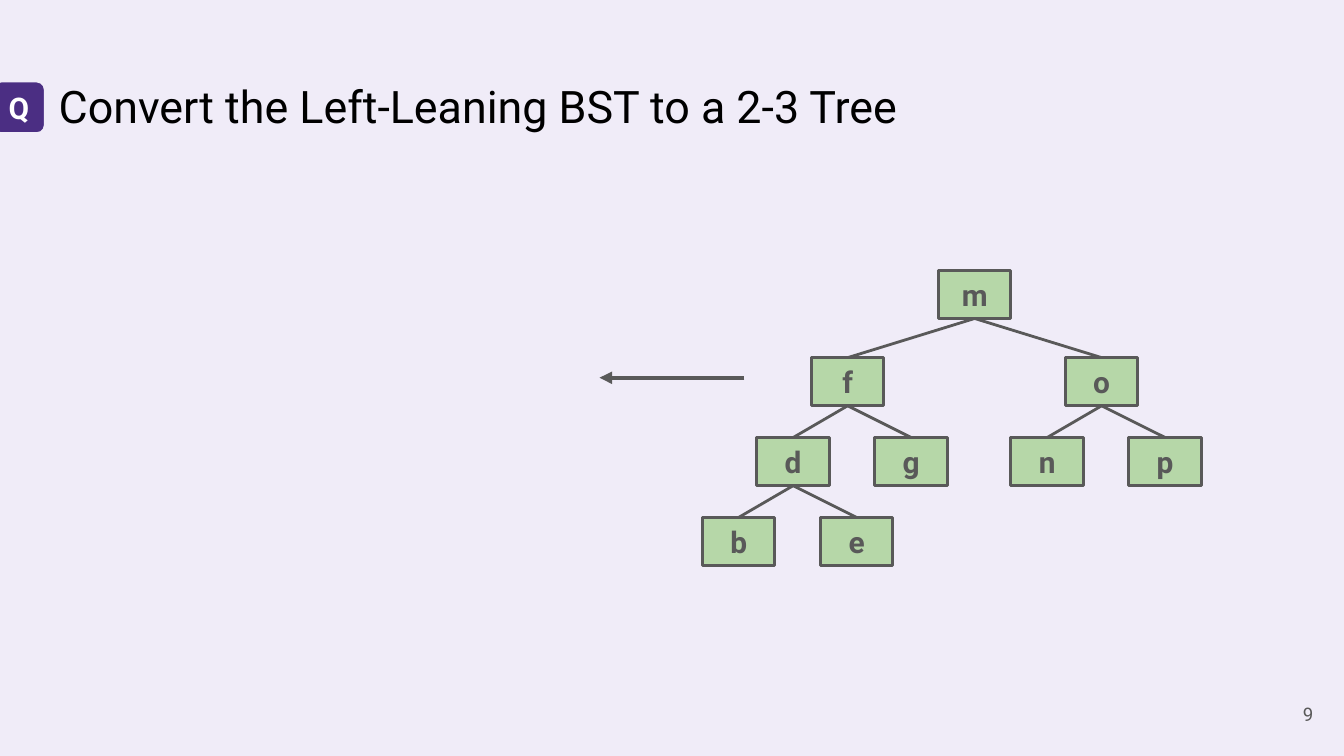
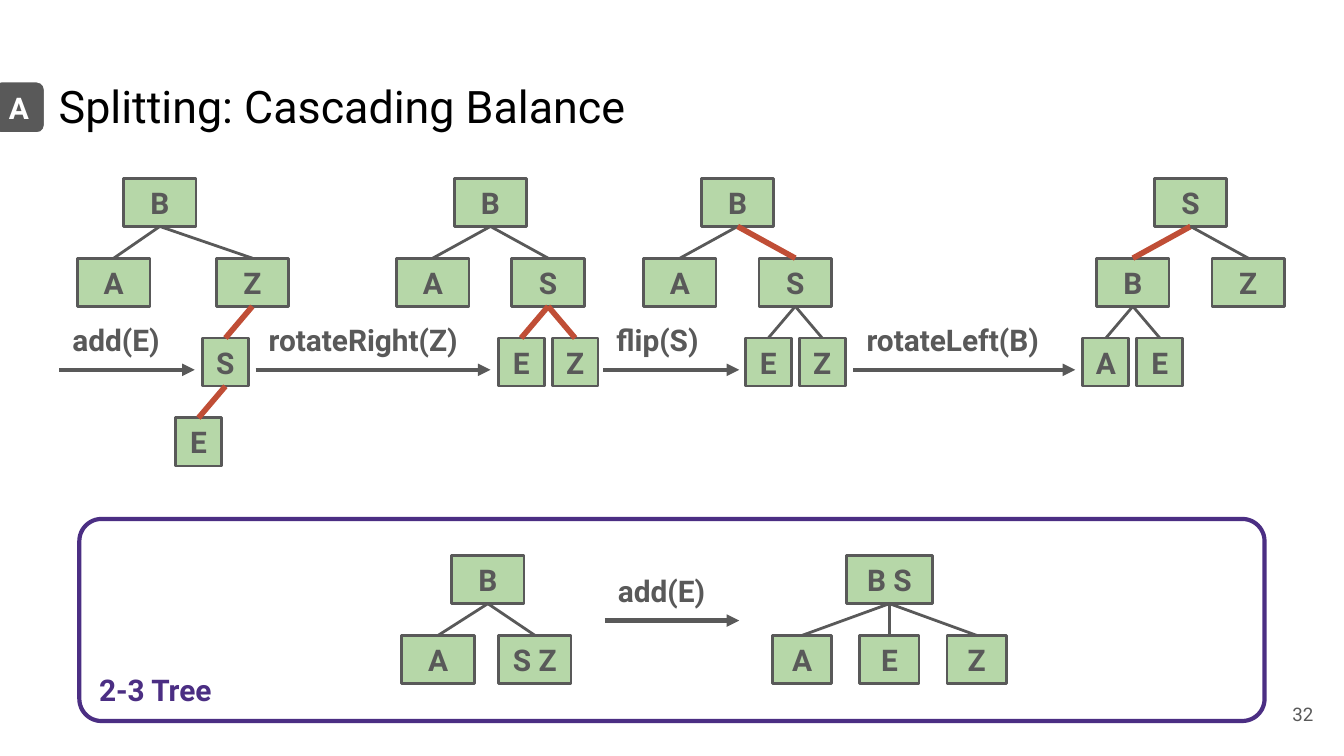
from dataclasses import dataclass

from lxml.etree import SubElement
from pptx import Presentation
from pptx.dml.color import RGBColor
from pptx.enum.shapes import MSO_CONNECTOR, MSO_SHAPE
from pptx.enum.text import MSO_ANCHOR, PP_ALIGN
from pptx.oxml.ns import qn
from pptx.util import Cm, Pt

COLORS = {
    "lilac": "F0ECF8",
    "white": "FFFFFF",
    "black": "000000",
    "purple": "4B2E83",
    "gray": "595959",
    "green": "B6D7A8",
    "red": "C04E36",
}
FONT = "Roboto"
NODE_W, NARROW_W, NODE_H = 1.37, 0.87, 0.91
LEVEL = 1.51  # distance between the tops of two tree levels
PAD = 0.25


@dataclass
class Node:
    """A tree node; dx is its offset from the parent, red marks the edge up."""
    text: str
    dx: float = 0
    kids: tuple = ()
    w: float = NODE_W
    red: bool = False


def rgb(name):
    return RGBColor.from_string(COLORS[name])


def pair(left, right, dx, **style):
    """Two siblings placed evenly below their parent."""
    return Node(left, -dx, **style), Node(right, dx, **style)


class Deck:
    def __init__(self):
        self.prs = Presentation()
        self.prs.slide_width, self.prs.slide_height = Cm(25.4), Cm(14.29)
        self.s = None

    def slide(self, title, number, letter, tag_color, background):
        self.s = self.prs.slides.add_slide(self.prs.slide_layouts[6])
        fill = self.s.background.fill
        fill.solid()
        fill.fore_color.rgb = rgb(background)
        self.text(title, 0.86, 1.24, 23.67, 1.6, size=24, color="black", bold=False)
        self.text(number, 23.55, 12.95, 1.52, 1.09, size=10, bold=False,
                  align=PP_ALIGN.RIGHT, anchor=MSO_ANCHOR.MIDDLE)
        tag = self.box(MSO_SHAPE.ROUNDED_RECTANGLE, -0.15, 1.52, 1.02, 1.02,
                       tag_color, background, 2.25, 0.167)
        self.label(tag, letter, color="white", align=PP_ALIGN.CENTER,
                   anchor=MSO_ANCHOR.MIDDLE)

    def label(self, sp, text, size=16, color="gray", bold=True,
              align=PP_ALIGN.LEFT, anchor=MSO_ANCHOR.TOP, pad_x=PAD, pad_y=PAD):
        tf = sp.text_frame
        tf.word_wrap = True
        tf.vertical_anchor = anchor
        tf.margin_left = tf.margin_right = Cm(pad_x)
        tf.margin_top = tf.margin_bottom = Cm(pad_y)
        p = tf.paragraphs[0]
        p.alignment = align
        r = p.add_run()
        r.text = text
        r.font.name, r.font.size, r.font.bold = FONT, Pt(size), bold
        r.font.color.rgb = rgb(color)

    def text(self, text, x, y, w, h, **style):
        sp = self.s.shapes.add_textbox(Cm(x), Cm(y), Cm(w), Cm(h))
        self.label(sp, text, **style)

    def box(self, kind, x, y, w, h, fill, line, weight, corner=None):
        sp = self.s.shapes.add_shape(kind, Cm(x), Cm(y), Cm(w), Cm(h))
        sp.shadow.inherit = False
        if fill:
            sp.fill.solid()
            sp.fill.fore_color.rgb = rgb(fill)
        else:
            sp.fill.background()
        sp.line.color.rgb = rgb(line)
        sp.line.width = Pt(weight)
        if corner is not None:
            sp.adjustments[0] = corner
        return sp

    def line(self, x1, y1, x2, y2, color="gray", weight=1.5):
        c = self.s.shapes.add_connector(
            MSO_CONNECTOR.STRAIGHT, Cm(x1), Cm(y1), Cm(x2), Cm(y2))
        c.line.color.rgb = rgb(color)
        c.line.width = Pt(weight)
        SubElement(c._element.spPr, qn("a:effectLst"))
        return c

    def arrow(self, x1, x2, y, caption=None):
        c = self.line(x1, y, x2, y, weight=2.25)
        ln = c._element.spPr.find(qn("a:ln"))
        SubElement(ln, qn("a:tailEnd"), type="triangle")
        if caption:
            self.text(caption, x1, y - 1.15, x2 - x1, 1.15)

    def tree(self, node, x, y, drop=LEVEL):
        """Draw node centred on x with its subtree; drop is the first level's step."""
        sp = self.box(MSO_SHAPE.RECTANGLE, x - node.w / 2, y, node.w, NODE_H,
                      "green", "gray", 1.5)
        self.label(sp, node.text, align=PP_ALIGN.CENTER,
                   anchor=MSO_ANCHOR.MIDDLE, pad_x=0, pad_y=0)
        for kid in node.kids:
            kid_x, kid_y = x + kid.dx, y + drop
            kid_sp = self.tree(kid, kid_x, kid_y)
            color, weight = ("red", 3) if kid.red else ("gray", 1.5)
            c = self.line(kid_x, kid_y, x, y + NODE_H, color, weight)
            c.begin_connect(kid_sp, 0)
            c.end_connect(sp, 2)
        return sp


def convert_slide(deck):
    deck.slide("Convert the Left-Leaning BST to a 2-3 Tree", "9", "Q",
               "purple", "lilac")
    deck.arrow(14.07, 11.33, 7.14)
    left, right = -1.03, 1.2
    d = Node("d", left, (Node("b", left), Node("e", right)))
    f = Node("f", -2.4, (d, Node("g", right)))
    o = Node("o", 2.4, (Node("n", left), Node("p", right)))
    deck.tree(Node("m", kids=(f, o)), 18.42, 5.11, drop=1.65)


def cascade_slide(deck):
    deck.slide("Splitting: Cascading Balance", "32", "A", "gray", "white")
    narrow = {"w": NARROW_W}
    side, half = 1.09, 0.51

    e = Node("E", -half, red=True, **narrow)
    s = Node("S", -half, (e,), red=True, **narrow)
    added = Node("B", kids=(Node("A", -0.87), Node("Z", 1.75, (s,))))
    rotated = Node("B", kids=(
        Node("A", -side),
        Node("S", side, pair("E", "Z", half, red=True, **narrow))))
    flipped = Node("B", kids=(
        Node("A", -side),
        Node("S", side, pair("E", "Z", half, **narrow), red=True)))
    balanced = Node("S", kids=(
        Node("B", -side, pair("A", "E", half, **narrow), red=True),
        Node("Z", side)))
    for root, x in ((added, 3.02), (rotated, 9.27), (flipped, 13.94),
                    (balanced, 22.5)):
        deck.tree(root, x, 3.37)
    for step, x1, x2 in (("add(E)", 1.12, 3.68), ("rotateRight(Z)", 4.83, 9.27),
                         ("flip(S)", 11.4, 13.97), ("rotateLeft(B)", 16.13, 20.32)):
        deck.arrow(x1, x2, 6.99, step)

    panel = deck.box(MSO_SHAPE.ROUNDED_RECTANGLE, 1.5, 9.81, 22.4, 3.82,
                     None, "purple", 2.25, 0.11)
    deck.label(panel, "2-3 Tree", color="purple", anchor=MSO_ANCHOR.BOTTOM, pad_y=0.13)
    before = Node("B", kids=(Node("A", -0.94), Node("S Z", 0.89)))
    after = Node("B S", w=1.63, kids=tuple(
        Node(key, dx, w=1.12) for key, dx in zip("AEZ", (-1.65, 0, 1.65))))
    deck.tree(before, 9.22, 10.5)
    deck.arrow(11.43, 13.97, 11.73, "add(E)")
    deck.tree(after, 16.81, 10.5)


def main():
    deck = Deck()
    convert_slide(deck)
    cascade_slide(deck)
    deck.prs.save("out.pptx")


if __name__ == "__main__":
    main()
